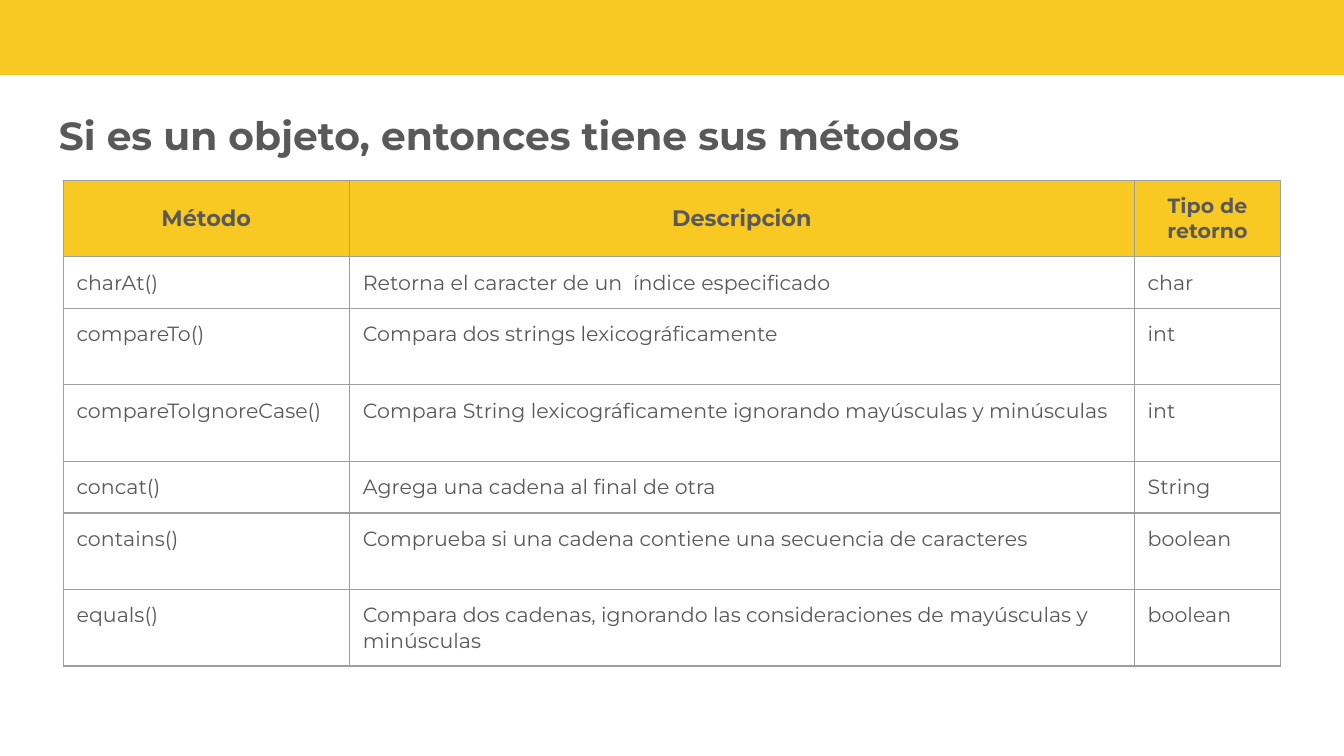
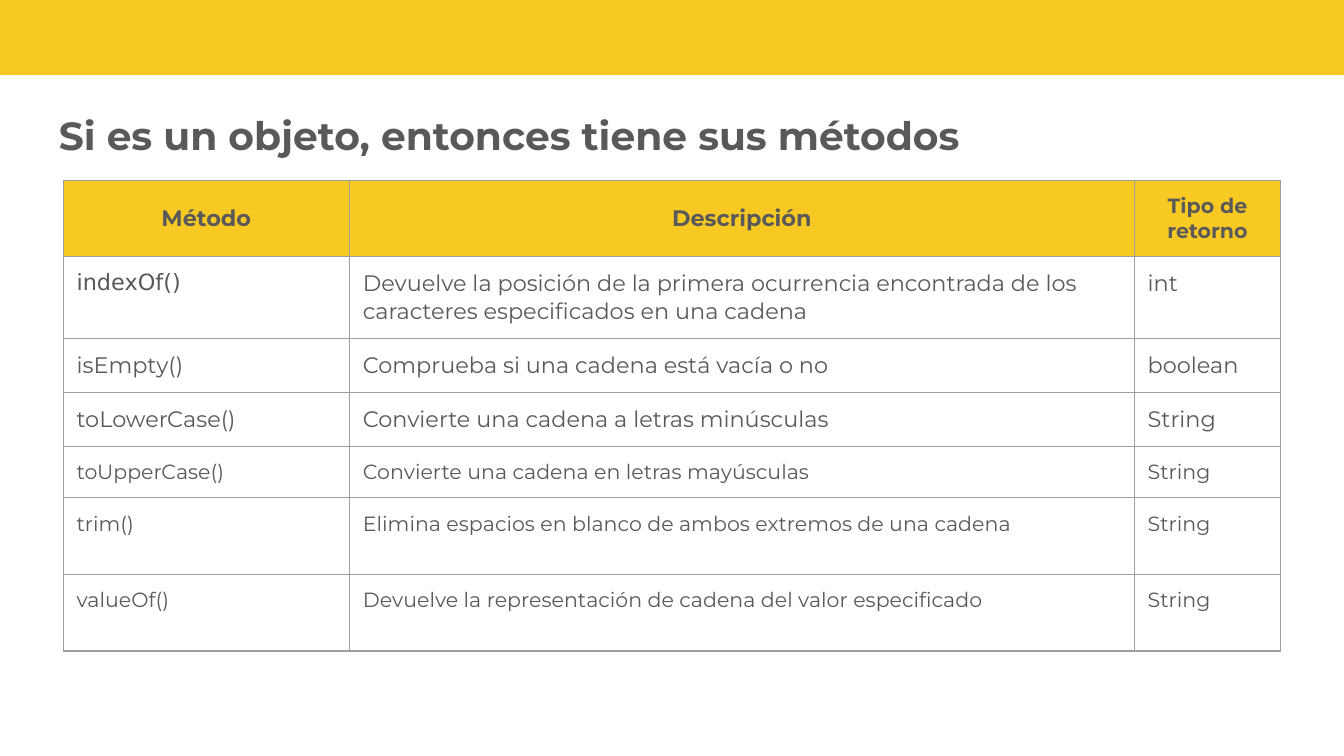
from dataclasses import dataclass

from lxml.etree import SubElement
from pptx import Presentation
from pptx.dml.color import RGBColor as Rgb
from pptx.enum.shapes import MSO_SHAPE as Shape
from pptx.enum.text import MSO_ANCHOR as Anchor, PP_ALIGN as Align
from pptx.oxml.ns import qn
from pptx.util import Inches, Pt

HEADING = "Si es un objeto, entonces tiene sus métodos"
COLUMNS = [("Método", 2.13, 12), ("Descripción", 5.84, 12), ("Tipo de retorno", 1.09, 11)]

SHORT, MEDIUM, TALL, TWO_LINES = 0.38, 0.4, 0.57, 0.61
SMALL, LARGE = 11, 12

METHOD_PAGES = [
    [
        (("charAt()", "Retorna el caracter de un  índice especificado", "char"), SHORT, SMALL),
        (("compareTo()", "Compara dos strings lexicográficamente", "int"), TALL, SMALL),
        (("compareToIgnoreCase()",
          "Compara String lexicográficamente ignorando mayúsculas y minúsculas", "int"), TALL, SMALL),
        (("concat()", "Agrega una cadena al final de otra", "String"), SHORT, SMALL),
        (("contains()", "Comprueba si una cadena contiene una secuencia de caracteres",
          "boolean"), TALL, SMALL),
        (("equals()",
          "Compara dos cadenas, ignorando las consideraciones de mayúsculas y minúsculas",
          "boolean"), TALL, SMALL),
    ],
    [
        (("indexOf()",
          "Devuelve la posición de la primera ocurrencia encontrada de los caracteres "
          "especificados en una cadena", "int"), TWO_LINES, LARGE),
        (("isEmpty()", "Comprueba si una cadena está vacía o no", "boolean"), MEDIUM, LARGE),
        (("toLowerCase()", "Convierte una cadena a letras minúsculas", "String"), MEDIUM, LARGE),
        (("toUpperCase()", "Convierte una cadena en letras mayúsculas", "String"), SHORT, SMALL),
        (("trim()", "Elimina espacios en blanco de ambos extremos de una cadena",
          "String"), TALL, SMALL),
        (("valueOf()", "Devuelve la representación de cadena del valor especificado",
          "String"), TALL, SMALL),
    ],
]
FALLBACK_FONT_METHODS = {"indexOf()"}


@dataclass(frozen=True)
class Theme:
    yellow: str = "F8C823"
    gray: str = "595959"
    grid: str = "9E9E9E"
    font: str = "Montserrat"
    fallback_font: str = "DejaVu Sans"
    heading_size: int = 21
    grid_width: float = 0.75
    inset: float = 0.1


THEME = Theme()
WIDTH = 10
HEIGHT = WIDTH * 9 / 16
BAND_HEIGHT = 0.56
HEADING_BOX = (0.34, 0.65, 9.3, 0.63)
TABLE_LEFT, TABLE_TOP = 0.47, 1.34


def style(paragraph, size, bold=False, font=THEME.font):
    paragraph.font.name = font
    paragraph.font.size = Pt(size)
    paragraph.font.bold = bold
    paragraph.font.color.rgb = Rgb.from_string(THEME.gray)


def add_band(slide):
    band = slide.shapes.add_shape(Shape.RECTANGLE, 0, 0, Inches(WIDTH), Inches(BAND_HEIGHT))
    band.shadow.inherit = False
    band.fill.solid()
    band.fill.fore_color.rgb = Rgb.from_string(THEME.yellow)
    band.line.fill.background()


def add_heading(slide):
    frame = slide.shapes.add_textbox(*map(Inches, HEADING_BOX)).text_frame
    frame.word_wrap = True
    frame.vertical_anchor = Anchor.BOTTOM
    frame.margin_left = frame.margin_right = Inches(THEME.inset)
    frame.margin_top = frame.margin_bottom = Inches(THEME.inset)
    heading = frame.paragraphs[0]
    heading.text = HEADING
    heading.line_spacing = 1.15
    heading.space_before = Pt(23)
    style(heading, THEME.heading_size, bold=True)


def add_borders(cell):
    properties = cell._tc.get_or_add_tcPr()
    for side in ("a:lnL", "a:lnR", "a:lnT", "a:lnB"):
        border = SubElement(properties, qn(side), w=str(Pt(THEME.grid_width)))
        SubElement(SubElement(border, qn("a:solidFill")), qn("a:srgbClr"), val=THEME.grid)


def fill_cell(cell, text, size, header=False):
    cell.margin_left = cell.margin_right = Inches(THEME.inset)
    cell.margin_top = cell.margin_bottom = Inches(THEME.inset)
    cell.vertical_anchor = Anchor.MIDDLE if header else Anchor.TOP
    add_borders(cell)
    if header:
        cell.fill.solid()
        cell.fill.fore_color.rgb = Rgb.from_string(THEME.yellow)
    else:
        cell.fill.background()
    entry = cell.text_frame.paragraphs[0]
    entry.text = text
    entry.alignment = Align.CENTER if header else Align.LEFT
    font = THEME.fallback_font if text in FALLBACK_FONT_METHODS else THEME.font
    style(entry, size, header, font)


def add_methods(slide, methods):
    heights = [TALL] + [height for _, height, _ in methods]
    widths = [width for _, width, _ in COLUMNS]
    table = slide.shapes.add_table(
        len(heights), len(widths), Inches(TABLE_LEFT), Inches(TABLE_TOP),
        Inches(sum(widths)), Inches(sum(heights))).table
    table.first_row = table.horz_banding = False
    for row, height in zip(table.rows, heights):
        row.height = Inches(height)
    for index, (label, width, size) in enumerate(COLUMNS):
        table.columns[index].width = Inches(width)
        fill_cell(table.cell(0, index), label, size, header=True)
    for line, (texts, _, size) in enumerate(methods, 1):
        for index, text in enumerate(texts):
            fill_cell(table.cell(line, index), text, size)


def main():
    deck = Presentation()
    deck.slide_width, deck.slide_height = Inches(WIDTH), Inches(HEIGHT)
    for methods in METHOD_PAGES:
        slide = deck.slides.add_slide(deck.slide_layouts[6])
        add_band(slide)
        add_heading(slide)
        add_methods(slide, methods)
    deck.save("out.pptx")


if __name__ == "__main__":
    main()
